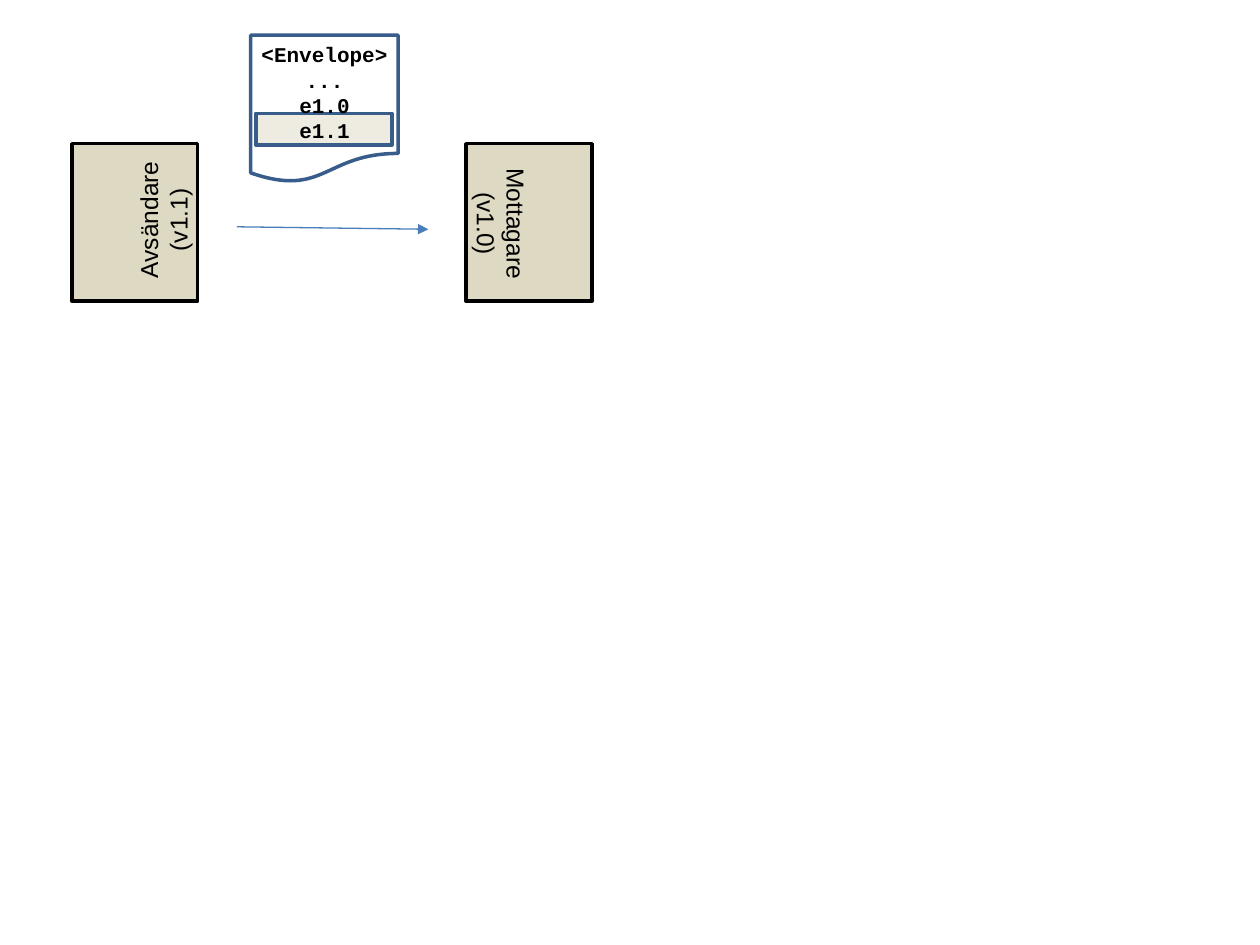
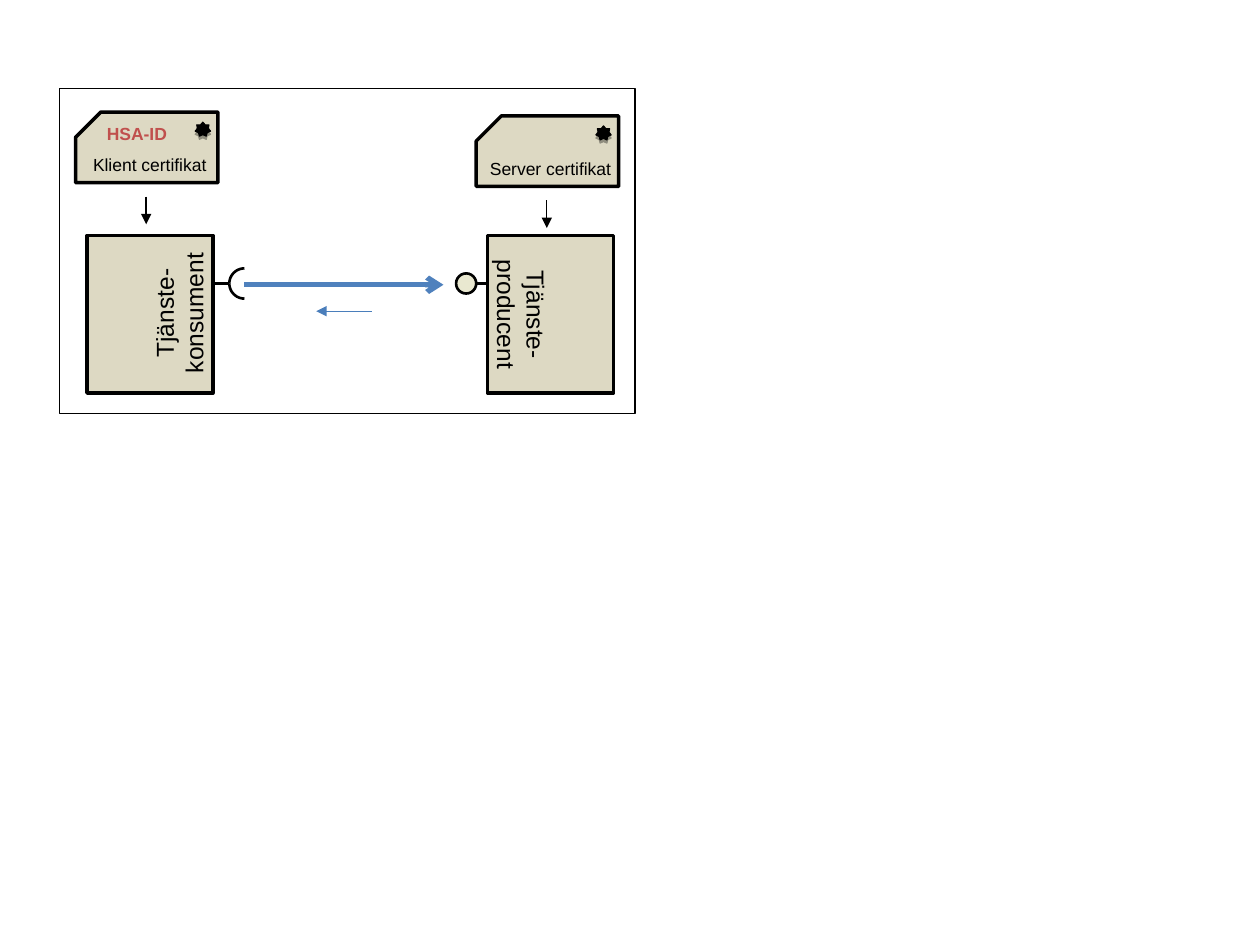
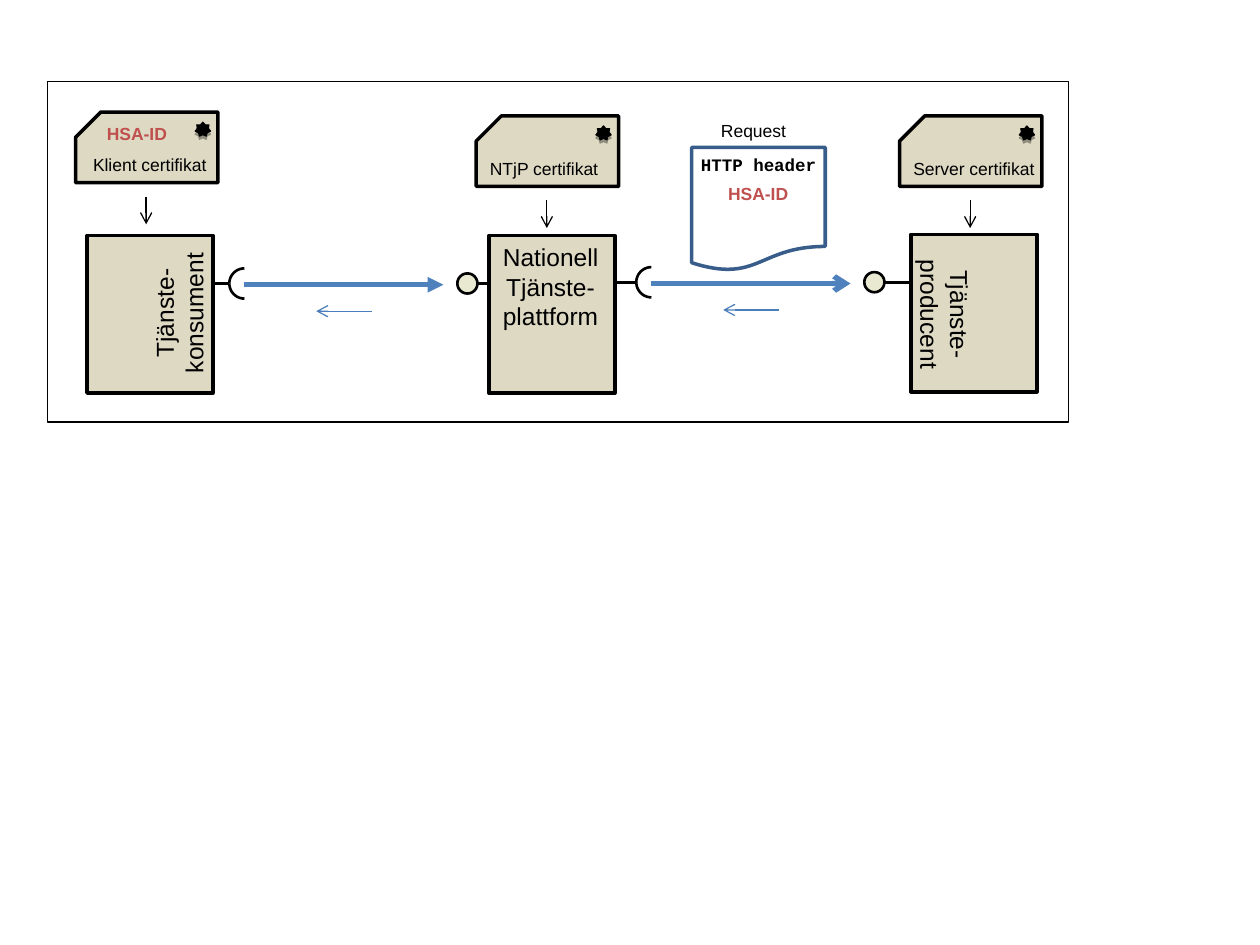
from dataclasses import dataclass
from math import cos, pi, sin
from typing import Any, Optional

from lxml import etree
from pptx import Presentation
from pptx import util as u
from pptx.dml import color
from pptx.enum import shapes, text
from pptx.oxml import ns

Kind = shapes.MSO_SHAPE
Area = tuple[float, float, float, float]
Point = tuple[float, float]


@dataclass(frozen=True)
class Theme:
    sans: str = "Arial"
    mono: str = "Courier New"
    black: str = "000000"
    white: str = "FFFFFF"
    sand: str = "DDD9C3"
    cream: str = "EEECE1"
    pale: str = "E9E8D0"
    red: str = "C0504D"
    navy: str = "385D8A"
    blue: str = "4F81BD"
    steel: str = "4A7EBB"
    large: float = 14
    mid: float = 12
    small: float = 10
    lead: float = 1.21
    hair: float = 0.75
    thin: float = 1.5
    thick: float = 2
    heavy: float = 3


T = Theme()


@dataclass(frozen=True)
class Label:
    area: Area
    lines: tuple[str, ...]
    size: float = T.large
    turn: int = 0
    font: str = T.sans
    tint: str = T.black
    bold: bool = False
    mid: bool = True
    wrap: bool = False


@dataclass(frozen=True)
class Node:
    left: float
    top: float
    label: Label


@dataclass(frozen=True)
class Cert:
    left: float
    top: float
    name: str
    inset: float
    width: float
    head: str


@dataclass(frozen=True)
class Flow:
    left: float
    top: float
    ball: float
    ask: str
    reply: str


def rgb(code: str) -> color.RGBColor:
    return color.RGBColor.from_string(code)


def box(area: Area) -> list[int]:
    return [u.Inches(v) for v in area]


def paint(shape: Any, fill: Optional[str], line: str, width: float) -> None:
    shape.shadow.inherit = False
    if fill:
        shape.fill.solid()
        shape.fill.fore_color.rgb = rgb(fill)
    else:
        shape.fill.background()
    shape.line.color.rgb = rgb(line)
    shape.line.width = u.Pt(width)


def draw(slide: Any, kind: Any, area: Area, fill: Optional[str] = None,
         line: str = T.black, width: float = T.thick) -> Any:
    shape = slide.shapes.add_shape(kind, *box(area))
    paint(shape, fill, line, width)
    return shape


def trace(slide: Any, ends: list[Point], fill: Optional[str], width: float) -> None:
    first, *rest = [(u.Inches(x), u.Inches(y)) for x, y in ends]
    form = slide.shapes.build_freeform(*first)
    form.add_line_segments(rest, close=fill is not None)
    paint(form.convert_to_shape(), fill, T.black, width)


def link(slide: Any, start: Point, end: Point, tint: str = T.black,
         width: float = T.hair, head: str = "") -> None:
    line = slide.shapes.add_connector(
        shapes.MSO_CONNECTOR.STRAIGHT, *box((*start, *end)))
    line.line.color.rgb = rgb(tint)
    line.line.width = u.Pt(width)
    props = line.element.spPr
    if head:
        etree.SubElement(props.find(ns.qn("a:ln")), ns.qn("a:tailEnd"), type=head)
    etree.SubElement(props, ns.qn("a:effectLst"))


def write(slide: Any, label: Label) -> None:
    shape = slide.shapes.add_textbox(*box(label.area))
    shape.rotation = label.turn
    frame = shape.text_frame
    frame.word_wrap = label.wrap
    frame.auto_size = text.MSO_AUTO_SIZE.SHAPE_TO_FIT_TEXT
    for i, line in enumerate(label.lines):
        para = frame.add_paragraph() if i else frame.paragraphs[0]
        para.alignment = text.PP_ALIGN.CENTER if label.mid else text.PP_ALIGN.LEFT
        para.line_spacing = u.Pt(label.size * T.lead)
        run = para.add_run()
        run.text = line
        run.font.name = label.font
        run.font.size = u.Pt(label.size)
        run.font.bold = label.bold
        run.font.color.rgb = rgb(label.tint)


def tag(slide: Any, left: float, top: float) -> None:
    write(slide, Label((left, top, 0.72, 0.27), ("HSA-ID",), T.small,
                       tint=T.red, bold=True, mid=False))


def put_node(slide: Any, node: Node) -> None:
    draw(slide, Kind.RECTANGLE, (node.left, node.top, 1, 1.25), T.sand)
    write(slide, node.label)


def put_seal(slide: Any, left: float, top: float) -> None:
    star = draw(slide, Kind.STAR_7_POINT, (left, top, 0.12, 0.11),
                T.black, width=T.hair)
    cast = etree.SubElement(
        star.element.spPr.find(ns.qn("a:effectLst")), ns.qn("a:outerShdw"),
        blurRad="0", dist=str(u.Pt(1.8)), dir="5400000", rotWithShape="0")
    tint = etree.SubElement(cast, ns.qn("a:srgbClr"), val=T.black)
    etree.SubElement(tint, ns.qn("a:alpha"), val="35000")


def put_cert(slide: Any, cert: Cert) -> None:
    x, y = cert.left, cert.top
    wide, high, cut = 1.13, 0.56, 0.2
    trace(slide, [(x + wide, y), (x + cut, y), (x, y + cut), (x, y + high),
                  (x + wide, y + high)], T.sand, T.thick)
    write(slide, Label((x + cert.inset, y + 0.28, cert.width, 0.27),
                       (cert.name,), T.small, mid=False))
    put_seal(slide, x + 0.95, y + 0.08)
    link(slide, (x + 0.56, y + 0.67), (x + 0.56, y + 0.89), head=cert.head)


def put_cup(slide: Any, left: float, top: float) -> None:
    size, steps = 0.12, 12
    turns = [pi / 2 * i / steps for i in range(steps + 1)]
    for side in (-1, 1):
        trace(slide, [(left + size * (1 - sin(t)), top + side * size * cos(t))
                      for t in turns], None, T.thin)


def put_flow(slide: Any, flow: Flow) -> None:
    x, y, ball = flow.left, flow.top, flow.ball
    link(slide, (x + 0.3, y), (x, y), width=T.thin)
    put_cup(slide, x + 0.3, y)
    link(slide, (ball + 0.52, y), (ball + 0.16, y), width=T.thin)
    draw(slide, Kind.OVAL, (ball, y - 0.08, 0.16, 0.16), T.pale, width=T.thin)
    link(slide, (x + 0.42, y + 0.01), (x + 2, y + 0.01), T.blue, T.heavy, flow.ask)
    link(slide, (x + 1.43, y + 0.22), (x + 0.99, y + 0.22), T.steel,
         head=flow.reply)


def put_scene(slide: Any, frame: Area, flows: list[Flow], nodes: list[Node],
              certs: list[Cert]) -> None:
    draw(slide, Kind.RECTANGLE, frame, width=T.hair)
    for flow in flows:
        put_flow(slide, flow)
    for node in nodes:
        put_node(slide, node)
    for cert in certs:
        put_cert(slide, cert)
    tag(slide, 0.75, 0.93)


def client() -> Node:
    return Node(0.69, 1.87, Label((0.82, 2.2, 1.2, 0.57),
                                  ("Tjänste-", "konsument"), turn=270))


def server(left: float, top: float) -> Node:
    return Node(left, top, Label((left - 0.29, 2.21, 1.12, 0.57),
                                 ("Tjänste-", "producent"), turn=90))


def version_slide(slide: Any) -> None:
    put_node(slide, Node(3.7, 1.14, Label((3.44, 1.49, 1.08, 0.57),
                                          ("Mottagare", "(v1.0)"), turn=90)))
    put_node(slide, Node(0.57, 1.14, Label((0.73, 1.46, 1.13, 0.57),
                                           ("Avsändare", "(v1.1)"), turn=270)))
    draw(slide, Kind.FLOWCHART_DOCUMENT, (1.99, 0.28, 1.17, 1.17), T.white, T.navy)
    draw(slide, Kind.RECTANGLE, (2.03, 0.9, 1.08, 0.25), T.cream, T.navy)
    write(slide, Label((1.7, 0.28, 1.75, 1.1),
                       ("<Envelope>", "...", "e1.0", "e1.1"), T.mid,
                       font=T.mono, bold=True, wrap=True))
    link(slide, (1.88, 1.8), (3.4, 1.82), T.steel, head="triangle")


def direct_slide(slide: Any) -> None:
    put_scene(
        slide, (0.47, 0.7, 4.57, 2.58),
        [Flow(1.52, 2.25, 3.62, "arrow", "triangle")],
        [client(), server(3.87, 1.87)],
        [Cert(0.6, 0.89, "Klient certifikat", 0.04, 1.1, "triangle"),
         Cert(3.78, 0.92, "Server certifikat", 0.01, 1.16, "triangle")])


def platform_slide(slide: Any) -> None:
    hub = Node(3.88, 1.87, Label((3.89, 1.87, 0.96, 0.8),
                                 ("Nationell", "Tjänste-", "plattform")))
    put_scene(
        slide, (0.38, 0.65, 8.1, 2.7),
        [Flow(1.52, 2.25, 3.63, "triangle", "arrow"),
         Flow(4.75, 2.24, 6.86, "arrow", "arrow")],
        [client(), hub, server(7.23, 1.86)],
        [Cert(0.6, 0.89, "Klient certifikat", 0.04, 1.1, "arrow"),
         Cert(3.78, 0.92, "NTjP certifikat", 0.01, 1.06, "arrow"),
         Cert(7.14, 0.92, "Server certifikat", 0.01, 1.16, "arrow")])
    draw(slide, Kind.FLOWCHART_DOCUMENT, (5.49, 1.17, 1.06, 0.98), T.white, T.navy)
    write(slide, Label((5.6, 0.9, 0.76, 0.27), ("Request",), T.small))
    write(slide, Label((5.43, 1.17, 1.18, 0.6), ("HTTP header",), T.small,
                       font=T.mono, bold=True, wrap=True))
    tag(slide, 5.68, 1.4)


def main() -> None:
    deck = Presentation()
    deck.slide_width, deck.slide_height = u.Inches(10), u.Inches(7.5)
    for build in (version_slide, direct_slide, platform_slide):
        build(deck.slides.add_slide(deck.slide_layouts[6]))
    deck.save("out.pptx")


if __name__ == "__main__":
    main()
